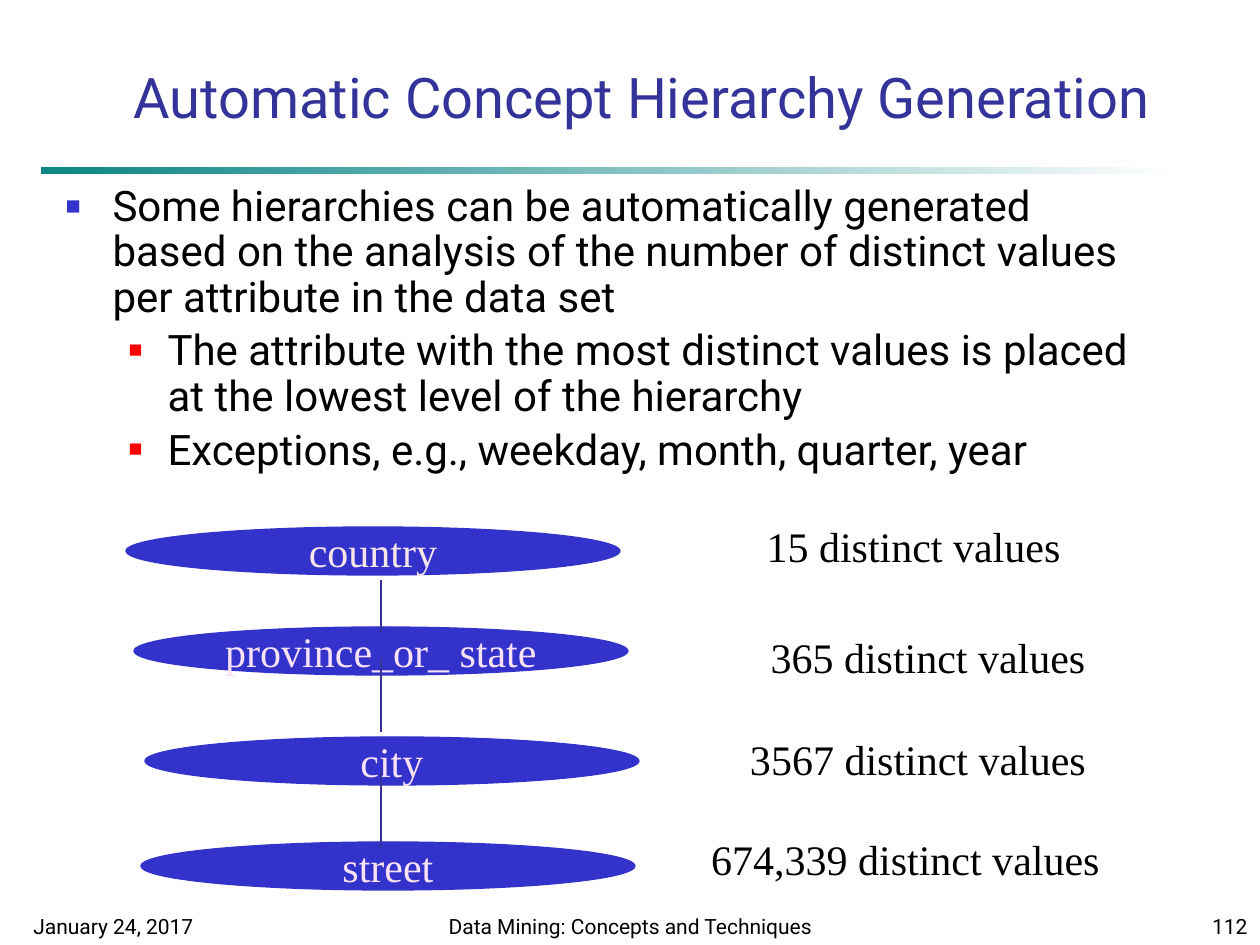
"""Build the slide on automatic concept hierarchy generation."""
from lxml.etree import SubElement
from pptx import Presentation
from pptx.dml.color import RGBColor
from pptx.enum.shapes import MSO_CONNECTOR, MSO_SHAPE
from pptx.enum.text import MSO_ANCHOR as Anchor, MSO_AUTO_SIZE as AutoSize, PP_ALIGN as Align
from pptx.oxml.ns import qn
from pptx.util import Pt

PX = 914400 / 126
BLACK = RGBColor(0x00, 0x00, 0x00)
WHITE = RGBColor(0xFF, 0xFF, 0xFF)
TEAL = RGBColor(0x00, 0x80, 0x80)
NAVY = RGBColor(0x33, 0x33, 0x99)
BLUE = RGBColor(0x33, 0x33, 0xCC)
RED = RGBColor(0xFF, 0x00, 0x00)
ROSE = RGBColor(0xF6, 0xE6, 0xEA)
PINK = RGBColor(0xFA, 0xE2, 0xF6)
SANS = "Roboto"
SERIF = "Times New Roman"


def px(*lengths):
    return [round(length * PX) for length in lengths]


def write(shape, text, size, font, color, align, anchor, wrap=True):
    frame = shape.text_frame
    frame.text = text
    frame.word_wrap = wrap
    frame.auto_size = AutoSize.NONE
    frame.vertical_anchor = anchor
    for paragraph in frame.paragraphs:
        paragraph.alignment = align
        for run in paragraph.runs:
            run.font.size = Pt(size)
            run.font.name = font
            run.font.color.rgb = color


presentation = Presentation()
presentation.slide_width, presentation.slide_height = px(1260, 945)
slide = presentation.slides.add_slide(presentation.slide_layouts[1])
shapes = slide.shapes

title, body = slide.placeholders
title.left, title.top, title.width, title.height = px(105, 42, 1074, 94)
write(title, "Automatic Concept Hierarchy Generation", 32, SANS, NAVY, Align.CENTER, Anchor.BOTTOM)

body.left, body.top, body.width, body.height = px(53, 179, 1113, 315)
points = [
    (0, "Some hierarchies can be automatically generated based on the analysis "
        "of the number of distinct values per attribute in the data set"),
    (1, "The attribute with the most distinct values is placed at the lowest level of the hierarchy"),
    (1, "Exceptions, e.g., weekday, month, quarter, year"),
]
bullet_styles = [(47, 47, BLUE, 60), (102, 39, RED, 55)]
write(body, "\n".join(text for level, text in points), 24, SANS, BLACK, Align.LEFT, Anchor.TOP)
for paragraph, (level, text) in zip(body.text_frame.paragraphs, points):
    margin, hanging, color, percent = bullet_styles[level]
    paragraph.level = level
    paragraph.line_spacing = 0.9
    paragraph.space_before = Pt(4.8)
    properties = paragraph._p.get_or_add_pPr()
    left, indent = px(margin, -hanging)
    properties.set("marL", str(left))
    properties.set("indent", str(indent))
    bullet_color = SubElement(properties, qn("a:buClr"))
    SubElement(bullet_color, qn("a:srgbClr"), val=str(color))
    SubElement(properties, qn("a:buSzPct"), val=str(percent * 1000))
    SubElement(properties, qn("a:buFont"), typeface="Arial")
    SubElement(properties, qn("a:buChar"), char="■")

rule = shapes.add_shape(MSO_SHAPE.RECTANGLE, *px(42, 168, 1134, 6))
rule.shadow.inherit = False
rule.line.fill.background()
rule.fill.gradient()
rule.fill.gradient_angle = 0
for stop, color, position in zip(rule.fill.gradient_stops, (TEAL, WHITE), (0, 1)):
    stop.color.rgb = color
    stop.position = position
for teal in rule._element.spPr.iter(qn("a:srgbClr")):
    if teal.get("val") == str(TEAL):
        SubElement(teal, qn("a:alpha"), val="95000")

footers = [
    ("January 24, 2017", 21, 262, Align.LEFT),
    ("Data Mining: Concepts and Techniques", 431, 399, Align.CENTER),
    ("112", 998, 262, Align.RIGHT),
]
for text, left, width, align in footers:
    footer = shapes.add_textbox(*px(left, 892, width, 53))
    write(footer, text, 12, SANS, BLACK, align, Anchor.BOTTOM)

levels = [
    ("country", 126, 527, ROSE),
    ("province_or_ state", 134, 627, PINK),
    ("city", 145, 737, PINK),
    ("street", 141, 842, PINK),
]
for text, left, top, color in levels:
    ellipse = shapes.add_shape(MSO_SHAPE.OVAL, *px(left, top, 494, 48))
    ellipse.shadow.inherit = False
    ellipse.fill.solid()
    ellipse.fill.fore_color.rgb = BLUE
    ellipse.line.color.rgb = BLUE
    ellipse.line.width = Pt(0.75)
    write(ellipse, text, 24, SERIF, color, Align.CENTER, Anchor.MIDDLE, wrap=False)

for top, bottom in [(580, 633), (659, 732), (771, 848)]:
    link = shapes.add_connector(MSO_CONNECTOR.STRAIGHT, *px(381, top, 381, bottom))
    link.line.color.rgb = NAVY
    link.line.width = Pt(0.75)
    SubElement(link._element.spPr, qn("a:effectLst"))

counts = [("15", 754, 514, 319), ("365", 756, 625, 344), ("3567", 738, 727, 360), ("674,339", 699, 827, 413)]
for count, left, top, width in counts:
    label = shapes.add_textbox(*px(left, top, width, 63))
    write(label, f"{count} distinct values", 24, SERIF, BLACK, Align.CENTER, Anchor.TOP, wrap=False)

presentation.save("out.pptx")
